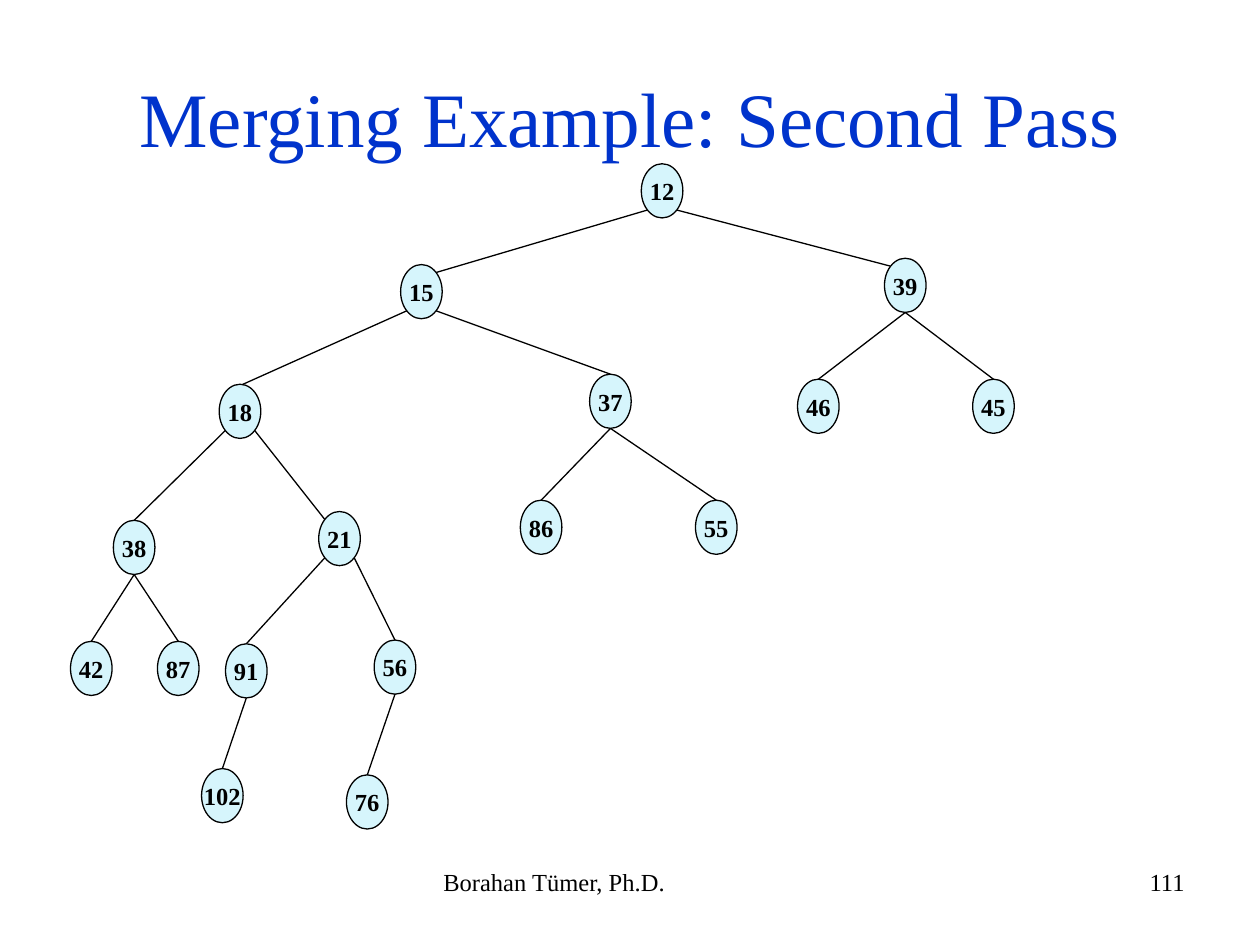
"""Build the slide showing the merged tree after the second pass."""
from dataclasses import dataclass
from math import sqrt

from lxml.etree import SubElement
from pptx import Presentation
from pptx.dml.color import RGBColor
from pptx.enum.shapes import MSO_CONNECTOR as CONN, MSO_SHAPE as SHAPE
from pptx.enum.text import MSO_ANCHOR as ANCHOR, PP_ALIGN as ALIGN
from pptx.oxml.ns import qn
from pptx.util import Inches, Pt


@dataclass(frozen=True)
class Theme:
    font: str = "Times New Roman"
    title: RGBColor = RGBColor(0x00, 0x33, 0xCC)
    ink: RGBColor = RGBColor(0x00, 0x00, 0x00)
    node: RGBColor = RGBColor(0xD6, 0xF5, 0xFC)
    title_size: int = 44
    body_size: int = 14
    line_width: float = 0.75


NODE_W, NODE_H = 0.33, 0.43
DIAGONAL = sqrt(0.5)
SITES = {
    "top": (0, -1),
    "bottom": (0, 1),
    "top left": (-DIAGONAL, -DIAGONAL),
    "top right": (DIAGONAL, -DIAGONAL),
    "bottom left": (-DIAGONAL, DIAGONAL),
    "bottom right": (DIAGONAL, DIAGONAL),
}

NODES = {
    "12": (5.09, 1.3),
    "15": (3.18, 2.1),
    "39": (7.02, 2.05),
    "46": (6.33, 3.01),
    "45": (7.72, 3.01),
    "37": (4.68, 2.97),
    "86": (4.13, 3.97),
    "55": (5.52, 3.97),
    "18": (1.74, 3.05),
    "21": (2.53, 4.06),
    "56": (2.97, 5.08),
    "38": (0.9, 4.13),
    "42": (0.56, 5.09),
    "87": (1.25, 5.09),
    "91": (1.79, 5.11),
    "102": (1.6, 6.1),
    "76": (2.75, 6.15),
}

EDGES = [
    ("12", "bottom left", "15", "top right"),
    ("12", "bottom right", "39", "top left"),
    ("15", "bottom left", "18", "top left"),
    ("15", "bottom right", "37", "top"),
    ("39", "bottom", "46", "top"),
    ("39", "bottom", "45", "top"),
    ("37", "bottom", "86", "top"),
    ("37", "bottom", "55", "top"),
    ("18", "bottom left", "38", "top"),
    ("18", "bottom right", "21", "top left"),
    ("38", "bottom", "42", "top"),
    ("38", "bottom", "87", "top"),
    ("21", "bottom left", "91", "top"),
    ("21", "bottom right", "56", "top"),
    ("91", "bottom", "102", "top"),
    ("56", "bottom", "76", "top"),
]


def site_point(key, site):
    """Return the point, in inches, of a named site on a node's outline."""
    x, y = NODES[key]
    dx, dy = SITES[site]
    return x + NODE_W / 2 * (1 + dx), y + NODE_H / 2 * (1 + dy)


class SlideBuilder:
    """Hold the theme and the current slide, and draw its elements."""

    def __init__(self, slide, theme):
        self.s = slide
        self.theme = theme

    def label(self, sp, text, size, color, align, anchor, bold=False):
        """Set and format the single line of text in a shape."""
        tf = sp.text_frame
        tf.text = text
        tf.vertical_anchor = anchor
        p = tf.paragraphs[0]
        p.alignment = align
        font = p.runs[0].font
        font.name, font.size, font.bold = self.theme.font, Pt(size), bold
        font.color.rgb = color

    def text(self, text, box, size, color, align, anchor=ANCHOR.TOP):
        """Add a wrapped text box."""
        sp = self.s.shapes.add_textbox(*map(Inches, box))
        self.label(sp, text, size, color, align, anchor)
        sp.text_frame.word_wrap = True

    def node(self, key):
        """Add the ellipse of one tree node and return it."""
        theme = self.theme
        sp = self.s.shapes.add_shape(
            SHAPE.OVAL, *map(Inches, (*NODES[key], NODE_W, NODE_H)))
        sp.shadow.inherit = False
        sp.fill.solid()
        sp.fill.fore_color.rgb = theme.node
        sp.line.color.rgb = theme.ink
        sp.line.width = Pt(theme.line_width)
        self.label(sp, key, theme.body_size, theme.ink, ALIGN.CENTER,
                   ANCHOR.MIDDLE, bold=True)
        sp.text_frame.word_wrap = False
        return sp

    def edge(self, start, end):
        """Add a straight line between two points and return it."""
        line = self.s.shapes.add_connector(
            CONN.STRAIGHT, *map(Inches, (*start, *end)))
        line.line.color.rgb = self.theme.ink
        line.line.width = Pt(self.theme.line_width)
        SubElement(line._element.spPr, qn("a:effectLst"))
        return line

    def tree(self):
        """Draw the edges beneath the nodes and join those that end at a top."""
        edges = [self.edge(site_point(parent, out), site_point(child, into))
                 for parent, out, child, into in EDGES]
        nodes = {key: self.node(key) for key in NODES}
        for line, (_, _, child, into) in zip(edges, EDGES):
            if into == "top":
                line.end_connect(nodes[child], 0)


def main():
    """Build and save the presentation."""
    prs = Presentation()
    prs.slide_width, prs.slide_height = Inches(10), Inches(7.5)
    theme = Theme()
    builder = SlideBuilder(prs.slides.add_slide(prs.slide_layouts[6]), theme)
    builder.text("Borahan Tümer, Ph.D.", (3.42, 6.83, 3.17, 0.52),
                 theme.body_size, theme.ink, ALIGN.LEFT)
    builder.text("111", (7.17, 6.83, 2.33, 0.52),
                 theme.body_size, theme.ink, ALIGN.RIGHT)
    builder.text("Merging Example: Second Pass", (0.5, 0.3, 9, 1.25),
                 theme.title_size, theme.title, ALIGN.CENTER, ANCHOR.MIDDLE)
    builder.tree()
    prs.save("out.pptx")


if __name__ == "__main__":
    main()
